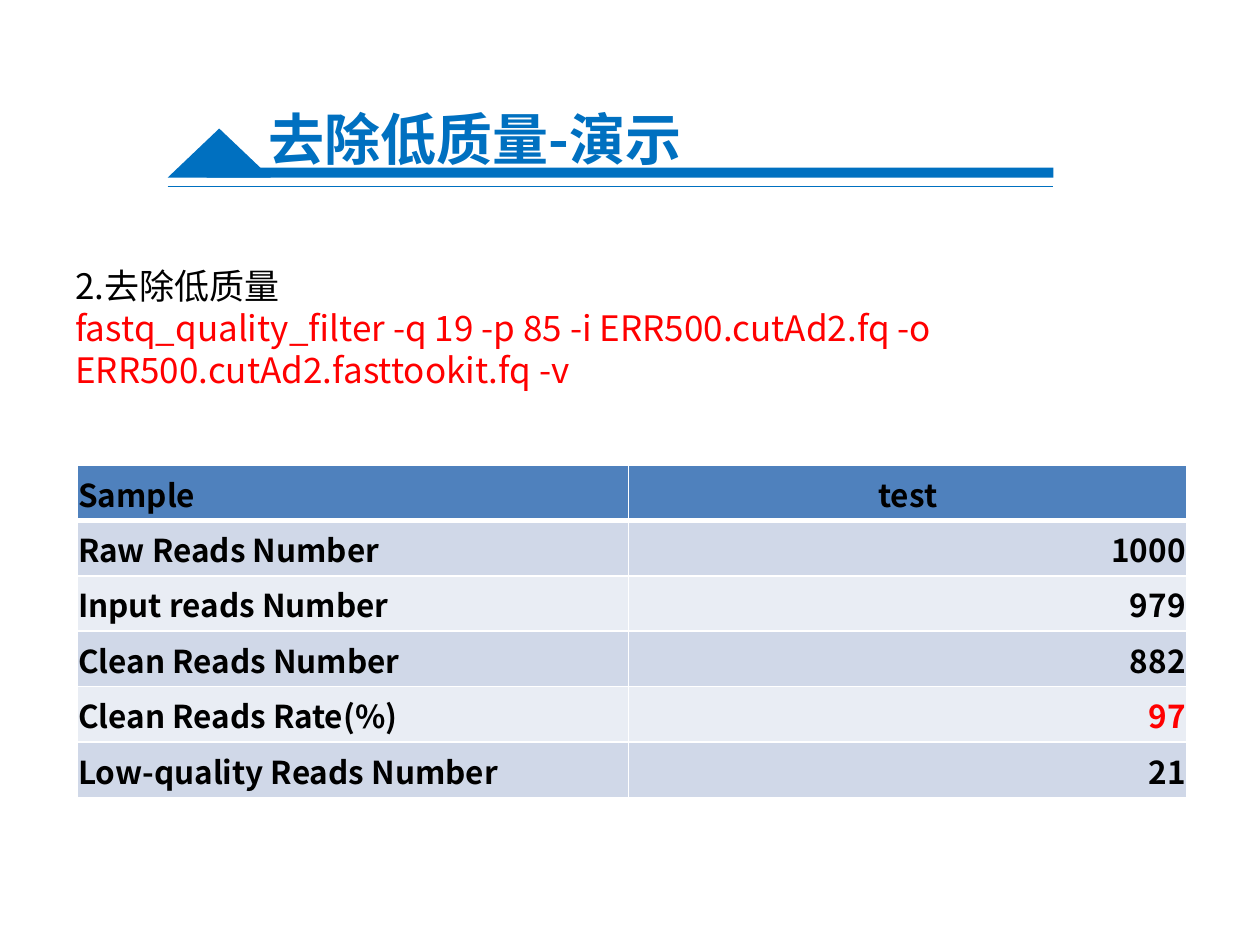
from lxml.etree import SubElement
from pptx import Presentation
from pptx.dml.color import RGBColor
from pptx.enum.shapes import MSO_CONNECTOR, MSO_SHAPE
from pptx.enum.text import MSO_ANCHOR, PP_ALIGN as Align
from pptx.oxml.ns import qn
from pptx.util import Inches, Pt

FONT = "Noto Sans CJK SC"
BLUE, RED, BLACK, WHITE = "0070C0", "FF0000", "000000", "FFFFFF"
HEADER, BANDS = "4F81BD", ("E9EDF4", "D0D8E8")


def rgb(code):
    return RGBColor.from_string(code)


class Page:
    def __init__(self, slide):
        self.slide = slide

    def style(self, para, size, color, bold=False):
        for span in para.runs:
            font = span.font
            font.name, font.size, font.bold = FONT, Pt(size), bold
            font.color.rgb = rgb(color)
            SubElement(font._element, qn("a:ea"), typeface=FONT)

    def text(self, left, top, width, height, lines, size, bold=False):
        box = self.slide.shapes.add_textbox(*map(Inches, (left, top, width, height)))
        frame = box.text_frame
        frame.word_wrap = True
        frame.text = "\n".join(line for line, _ in lines)
        for para, (_, color) in zip(frame.paragraphs, lines):
            self.style(para, size, color, bold)

    def shape(self, kind, left, top, width, height, color):
        shape = self.slide.shapes.add_shape(kind, *map(Inches, (left, top, width, height)))
        shape.shadow.inherit = False
        shape.fill.solid()
        shape.fill.fore_color.rgb = rgb(color)
        shape.line.fill.background()

    def line(self, x1, y1, x2, y2, color, width):
        line = self.slide.shapes.add_connector(
            MSO_CONNECTOR.STRAIGHT, *map(Inches, (x1, y1, x2, y2)))
        line.line.color.rgb = rgb(color)
        line.line.width = Pt(width)
        SubElement(line._element.spPr, qn("a:effectLst"))

    def borders(self, cell, top, bottom):
        props = cell._tc.get_or_add_tcPr()
        for side, width in (("L", 1), ("R", 1), ("T", top), ("B", bottom)):
            edge = SubElement(props, qn(f"a:ln{side}"), w=str(Pt(width)))
            fill = SubElement(edge, qn("a:solidFill"))
            SubElement(fill, qn("a:srgbClr"), val=WHITE)

    def table(self, left, top, widths, row_height, rows, size):
        frame = self.slide.shapes.add_table(
            len(rows), len(widths), Inches(left), Inches(top),
            Inches(sum(widths)), Inches(row_height * len(rows)))
        table = frame.table
        for column, width in zip(table.columns, widths):
            column.width = Inches(width)
        for r, (label, value, color) in enumerate(rows):
            value_align = Align.RIGHT if r else Align.CENTER
            cells = ((label, Align.LEFT, BLACK), (value, value_align, color))
            for c, (words, align, ink) in enumerate(cells):
                cell = table.cell(r, c)
                cell.margin_left = cell.margin_right = cell.margin_top = Inches(0.01)
                cell.margin_bottom = 0
                cell.vertical_anchor = MSO_ANCHOR.MIDDLE
                # A thick rule separates the header from the body
                self.borders(cell, 3 if r == 1 else 1, 3 if r == 0 else 1)
                cell.fill.solid()
                cell.fill.fore_color.rgb = rgb(BANDS[r % 2] if r else HEADER)
                cell.text = words
                para = cell.text_frame.paragraphs[0]
                para.alignment = align
                self.style(para, size, ink, bold=True)


def main():
    deck = Presentation()
    deck.slide_width, deck.slide_height = Inches(10), Inches(7.5)
    page = Page(deck.slides.add_slide(deck.slide_layouts[6]))

    # Title with its peak and rules
    page.line(1.33, 1.48, 8.36, 1.48, BLUE, 0.75)
    page.shape(MSO_SHAPE.RECTANGLE, 1.64, 1.33, 6.72, 0.08, BLUE)
    page.shape(MSO_SHAPE.ISOSCELES_TRIANGLE, 1.33, 1.02, 0.82, 0.39, BLUE)
    page.text(2.03, 0.78, 6.39, 0.64, [("去除低质量-演示", BLUE)], 32, bold=True)

    # Step and command
    page.text(0.5, 2.05, 9.5, 1.11, [
        ("2.去除低质量", BLACK),
        ("fastq_quality_filter -q 19 -p 85 -i ERR500.cutAd2.fq "
         "-o ERR500.cutAd2.fasttookit.fq -v", RED),
    ], 20)

    # Read counts
    page.table(0.61, 3.69, (4.38, 4.43), 0.44, [
        ("Sample", "test", BLACK),
        ("Raw Reads Number", "1000", BLACK),
        ("Input reads Number", "979", BLACK),
        ("Clean Reads Number", "882", BLACK),
        ("Clean Reads Rate(%)", "97", RED),
        ("Low-quality Reads Number", "21", BLACK),
    ], 18)

    deck.save("out.pptx")


if __name__ == "__main__":
    main()
